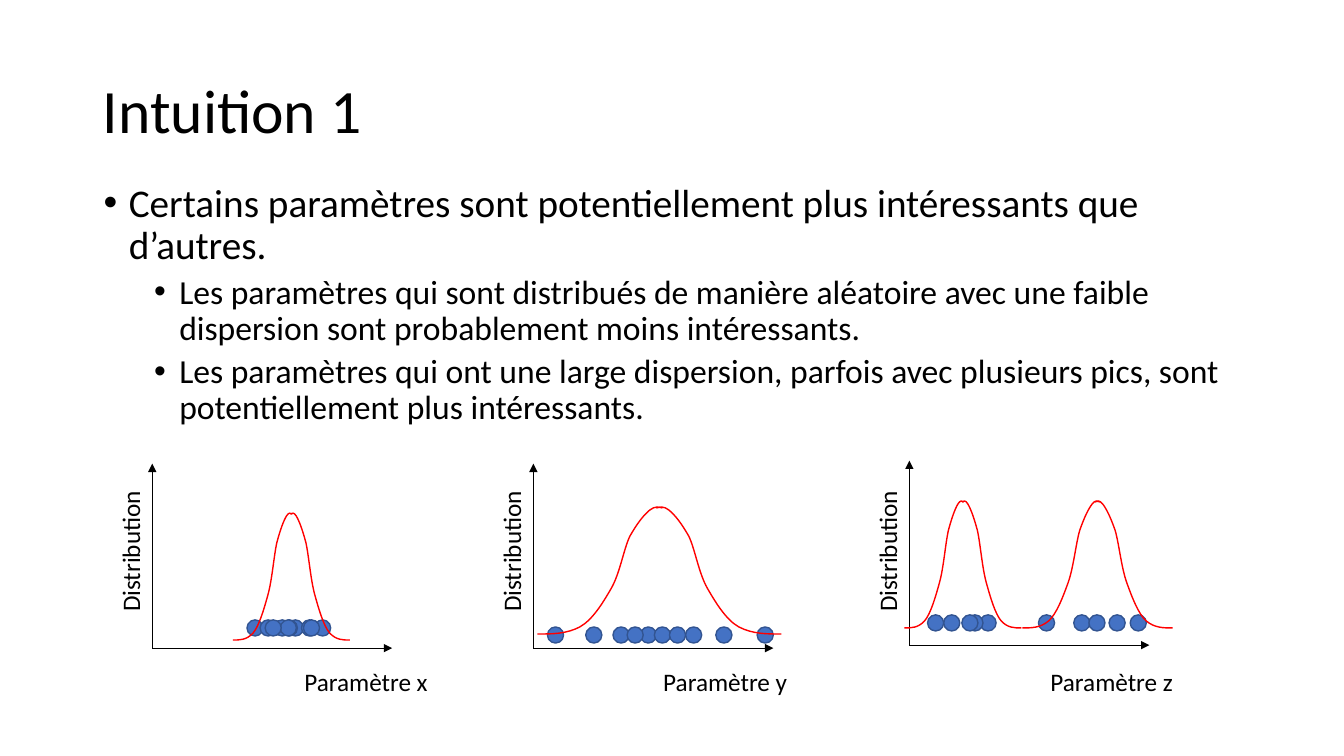
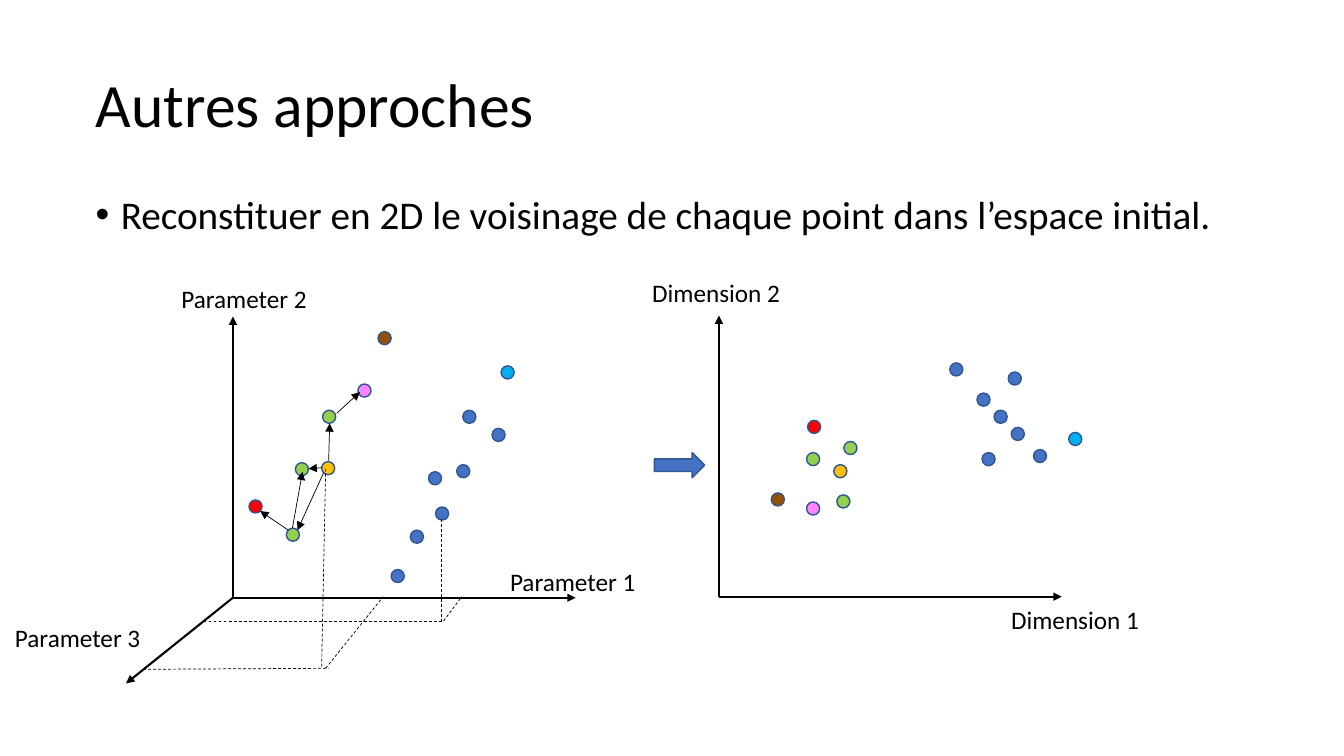
from lxml import etree
from pptx import Presentation
from pptx import util as u
from pptx.dml.color import RGBColor
from pptx.enum import dml, shapes, text
from pptx.oxml.ns import qn

PX = 9144  # EMU per px, 100 px to the inch
FONT = "Calibri"
BLACK, RED, BLUE, EDGE = "000000", "FF0000", "4472C4", "325491"
GREEN, ORANGE, PINK, BROWN, CYAN = "92D050", "FFC000", "FF85FF", "945200", "00B0F0"

# Rising half of a bell, as Bézier points: percent of its width, px below its top
BELL = [(0, 126), (12, 126), (23, 126), (34, 119), (44, 112), (52, 96),
        (59, 81), (66, 66), (69, 42), (74, 29), (80, 16), (85, 8),
        (90, 3), (94, -1), (97, 0), (100, 1)]


def px(n):
    return u.Emu(round(n * PX))


def rgb(value):
    return RGBColor.from_string(value)


def to_curves(sp):
    """Turn each three line segments of a freeform into one cubic curve."""
    segments = list(sp._element.iter(qn("a:lnTo")))
    outline = segments[0].getparent()
    for i in range(0, len(segments), 3):
        curve = etree.SubElement(outline, qn("a:cubicBezTo"))
        for segment in segments[i:i + 3]:
            curve.append(segment[0])
            outline.remove(segment)


class Deck:
    def __init__(self):
        self.prs = Presentation()
        self.prs.slide_width, self.prs.slide_height = u.Inches(13.33), u.Inches(7.5)
        self.s = None

    def slide(self, title, x, y):
        self.s = self.prs.slides.add_slide(self.prs.slide_layouts[5])
        sp = self.s.shapes.title
        sp.left, sp.top, sp.width, sp.height = px(x), px(y), px(1150), px(145)
        tf = sp.text_frame
        tf.word_wrap, tf.auto_size = True, text.MSO_AUTO_SIZE.NONE
        tf.vertical_anchor = text.MSO_ANCHOR.MIDDLE
        p = tf.paragraphs[0]
        p.alignment, p.line_spacing = text.PP_ALIGN.LEFT, 0.9
        self.run(p, title, 44)

    def run(self, p, words, size):
        r = p.add_run()
        r.text = words
        r.font.name, r.font.size = FONT, u.Pt(size)
        r.font.color.rgb = rgb(BLACK)

    def frame(self, x, y, w, h):
        sp = self.s.shapes.add_textbox(px(x), px(y), px(w), px(h))
        sp.text_frame.word_wrap = True
        return sp

    def bullets(self, x, y, h, items):
        tf = self.frame(x, y, 1150, h).text_frame
        for i, (level, words) in enumerate(items):
            p = tf.add_paragraph() if i else tf.paragraphs[0]
            p.level, p.line_spacing = level, 0.9
            p.space_before = u.Pt(5 if level else 10)
            pPr = p._p.get_or_add_pPr()
            pPr.set("marL", str(px(25 + 50 * level)))
            pPr.set("indent", str(px(-25)))
            etree.SubElement(pPr, qn("a:buFont")).set("typeface", "Arial")
            etree.SubElement(pPr, qn("a:buChar")).set("char", "•")
            self.run(p, words, 24 if level else 28)

    def label(self, words, x, y, w, vertical=False):
        sp = self.frame(x, y, w, 40)
        sp.text_frame.auto_size = text.MSO_AUTO_SIZE.SHAPE_TO_FIT_TEXT
        p = sp.text_frame.paragraphs[0]
        if vertical:
            sp.rotation = 270
            p.alignment = text.PP_ALIGN.CENTER
        self.run(p, words, 18)

    def line(self, x1, y1, x2, y2, width=0.5, dashed=False):
        """Draw an arrow, or a dashed line without a head."""
        c = self.s.shapes.add_connector(shapes.MSO_CONNECTOR.STRAIGHT,
                                        px(x1), px(y1), px(x2), px(y2))
        c.line.color.rgb, c.line.width = rgb(BLACK), u.Pt(width)
        if dashed:
            c.line.dash_style = dml.MSO_LINE.DASH
        else:
            ln = c.line._get_or_add_ln()
            etree.SubElement(ln, qn("a:tailEnd")).set("type", "triangle")
        etree.SubElement(c._element.spPr, qn("a:effectLst"))

    def axes(self, x, y, length, height, width):
        self.line(x, y, x + length, y, width)
        self.line(x, y, x, y - height, width)

    def shape(self, kind, x, y, w, h, fill=BLUE):
        sp = self.s.shapes.add_shape(kind, px(x), px(y), px(w), px(h))
        sp.shadow.inherit = False
        sp.fill.solid()
        sp.fill.fore_color.rgb = rgb(fill)
        sp.line.color.rgb, sp.line.width = rgb(EDGE), u.Pt(1)

    def dot(self, x, y, size, fill=BLUE):
        self.shape(shapes.MSO_SHAPE.OVAL, x, y, size, size, fill)

    def bell(self, left, right, top, half):
        """Draw both halves of a bell between its two feet."""
        for foot, way in ((left, 1), (right, -1)):
            start, *rest = [(px(foot + way * half * a / 100), px(top + b))
                            for a, b in BELL]
            builder = self.s.shapes.build_freeform(*start)
            builder.add_line_segments(rest, close=False)
            sp = builder.convert_to_shape()
            to_curves(sp)
            sp.shadow.inherit = False
            sp.fill.background()
            sp.line.color.rgb, sp.line.width = rgb(RED), u.Pt(1)


def intuition(deck):
    deck.slide("Intuition 1", 92, 40)
    deck.bullets(93, 177, 279, [
        (0, "Certains paramètres sont potentiellement plus intéressants que d’autres."),
        (1, "Les paramètres qui sont distribués de manière aléatoire avec une faible "
            "dispersion sont probablement moins intéressants."),
        (1, "Les paramètres qui ont une large dispersion, parfois avec plusieurs pics, "
            "sont potentiellement plus intéressants."),
    ])
    # Name, axis origin, name left, dot top, dot lefts, bells
    plots = [
        ("x", 151, 643, 292, 615,
         (272, 285, 245, 279, 312, 278, 258, 299, 263, 301),
         [(231, 347, 509, 59)]),
        ("y", 529, 643, 648, 622,
         (635, 649, 608, 581, 680, 710, 622, 664, 543, 751),
         [(533, 775, 503, 124)]),
        ("z", 902, 640, 1032, 610,
         (972, 1030, 936, 1065, 959, 1080, 954, 1100, 920, 1121),
         [(897, 1013, 497, 59), (1014, 1163, 497, 77)]),
    ]
    for name, x, y, name_x, dot_y, dots, bells in plots:
        deck.axes(x, y, 238, 183, 0.5)
        deck.label("Distribution", x - 162, 527, 280, vertical=True)
        deck.label("Paramètre " + name, name_x, 656, 150)
        for dot_x in dots:
            deck.dot(dot_x, dot_y, 16)
        for bell in bells:
            deck.bell(*bell)


def approaches(deck):
    deck.slide("Autres approches", 85, 34)
    deck.bullets(85, 189, 442, [
        (0, "Reconstituer en 2D le voisinage de chaque point dans l’espace initial."),
    ])

    # Axes and their names
    deck.axes(231, 593, 340, 279, 1.5)
    deck.line(231, 593, 125, 678, 1.5)
    deck.axes(713, 592, 340, 279, 1.5)
    for words, x, y, w in [("Parameter 1", 496, 557, 152), ("Parameter 2", 170, 276, 161),
                           ("Parameter 3", 5, 612, 161), ("Dimension 1", 993, 595, 152),
                           ("Dimension 2", 637, 270, 152)]:
        deck.label(words, x, y, w)

    # Points by colour: initial space, then 2D
    points = {
        BROWN: [(375, 329), (765, 489)],
        GREEN: [(320, 407), (293, 459), (284, 524), (837, 438), (800, 449), (830, 491)],
        CYAN: [(497, 363), (1060, 429)],
        PINK: [(355, 381), (800, 498)],
        ORANGE: [(319, 458), (827, 461)],
        RED: [(247, 496), (801, 417)],
        BLUE: [(407, 526), (388, 565), (432, 503), (459, 407), (453, 461), (488, 425),
               (425, 468), (942, 360), (969, 390), (986, 407), (1003, 424), (1025, 446),
               (1000, 369), (974, 449)],
    }
    for fill, places in points.items():
        for x, y in places:
            deck.dot(x, y, 13, fill)

    # Neighbour arrows
    for ends in [(326, 457, 327, 420), (319, 464, 306, 465), (321, 469, 295, 526),
                 (334, 410, 357, 389), (286, 526, 258, 507), (290, 524, 300, 468)]:
        deck.line(*ends)

    # Projections onto the base plane
    for ends in [(438, 515, 438, 616), (142, 664, 326, 663), (323, 465, 319, 663),
                 (202, 616, 440, 616), (323, 663, 380, 592), (440, 616, 458, 592)]:
        deck.line(*ends, dashed=True)

    deck.shape(shapes.MSO_SHAPE.RIGHT_ARROW, 649, 449, 50, 25)


def main():
    deck = Deck()
    intuition(deck)
    approaches(deck)
    deck.prs.save("out.pptx")


if __name__ == "__main__":
    main()
